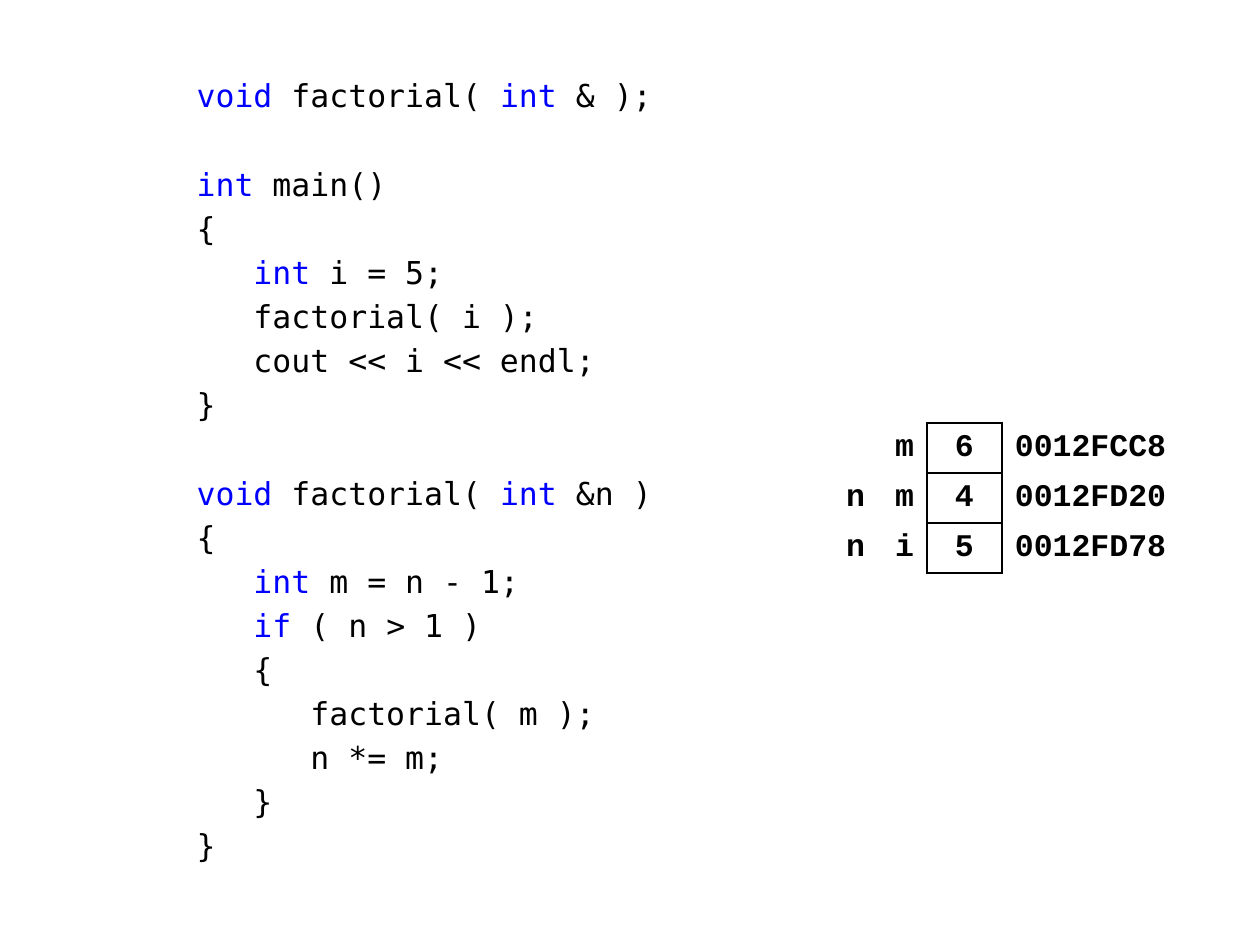
from lxml import etree
from pptx import Presentation
from pptx.dml.color import RGBColor
from pptx.enum.text import MSO_ANCHOR, MSO_AUTO_SIZE, PP_ALIGN
from pptx.oxml.ns import qn
from pptx.util import Pt

TOP, MID = MSO_ANCHOR.TOP, MSO_ANCHOR.MIDDLE
LEFT, MIDDLE, RIGHT = PP_ALIGN.LEFT, PP_ALIGN.CENTER, PP_ALIGN.RIGHT
NONE = MSO_AUTO_SIZE.NONE
BLACK = RGBColor(0x00, 0x00, 0x00)
BLUE = RGBColor(0x00, 0x00, 0xFF)
PLAIN = "{2D5ABB26-0587-4C30-8999-92F81FD0307C}"
SCALE = 914400 / 126
STEP, GAP = Pt(3.6), Pt(29)

CODE = """`void` factorial( `int` & );

`int` main()
{
   `int` i = 5;
   factorial( i );
   cout << i << endl;
}

`void` factorial( `int` &n )
{
   `int` m = n - 1;
   `if` ( n > 1 )
   {
      factorial( m );
      n *= m;
   }
}"""
ROWS = [
    ("", "m", "6", "0012FCC8"),
    ("n", "m", "4", "0012FD20"),
    ("n", "i", "5", "0012FD78"),
]
COLS = [(49, RIGHT, ""), (49, RIGHT, "R"), (75, MIDDLE, "LRTB"), (176, LEFT, "L")]


def px(num):
    """Turn pixels into EMU."""
    return round(num * SCALE)


def style(item, form):
    """Set each attribute named in a dict of format values."""
    for name, value in form.items():
        setattr(item, name, value)


def add_code(shape, left, top, width, height):
    """Fill a placeholder with code, with the marked keywords in blue."""
    style(shape, {"left": px(left), "top": px(top),
                  "width": px(width), "height": px(height)})
    frame = shape.text_frame
    style(frame, {"auto_size": NONE, "vertical_anchor": TOP, "word_wrap": True,
                  "margin_top": 0, "margin_bottom": 0})
    space, para = 0, frame.paragraphs[0]
    for line in CODE.split("\n"):
        if not line:
            space = GAP
            continue
        if para is None:
            para = frame.add_paragraph()
        style(para, {"alignment": LEFT, "space_before": space})
        for spot, part in enumerate(line.split("`")):
            if part:
                run = para.add_run()
                run.text = part
                style(run.font, {"name": "DejaVu Sans Mono", "size": Pt(18)})
                run.font.color.rgb = BLUE if spot % 2 else BLACK
        space, para = STEP, None


def add_edge(cell, side):
    """Draw a black border on one side of a cell."""
    edge = etree.SubElement(cell._tc.get_or_add_tcPr(), qn(f"a:ln{side}"), w=str(Pt(1.5)))
    fill = etree.SubElement(edge, qn("a:solidFill"))
    etree.SubElement(fill, qn("a:srgbClr"), val=str(BLACK))


def add_stack(slide, left, top, high):
    """Place the memory table with its names, values and addresses."""
    wide = sum(col[0] for col in COLS)
    table = slide.shapes.add_table(len(ROWS), len(COLS), px(left), px(top),
                                   px(wide), px(high * len(ROWS))).table
    style(table, {"first_row": False, "horz_banding": False})
    table._tbl.tblPr.find(qn("a:tableStyleId")).text = PLAIN
    for col, (width, _, _) in zip(table.columns, COLS):
        col.width = px(width)
    for y, row in enumerate(ROWS):
        table.rows[y].height = px(high)
        for x, (text, (_, align, sides)) in enumerate(zip(row, COLS)):
            cell = table.cell(y, x)
            style(cell, {"text": text, "vertical_anchor": MID,
                         "margin_left": px(13), "margin_right": px(8 if x == 3 else 13),
                         "margin_top": px(5), "margin_bottom": px(5)})
            for side in sides:
                add_edge(cell, side)
            cell.fill.background()
            para = cell.text_frame.paragraphs[0]
            para.alignment = align
            style(para.font, {"name": "Courier New", "size": Pt(18), "bold": True})
            para.font.color.rgb = BLACK


def main():
    """Build and save the slide."""
    deck = Presentation()
    style(deck, {"slide_width": px(1260), "slide_height": px(945)})
    slide = deck.slides.add_slide(deck.slide_layouts[0])
    title = slide.shapes.title._element
    title.getparent().remove(title)
    add_code(slide.placeholders[1], 184, 76, 546, 819)
    add_stack(slide, 829, 423, 50)
    deck.save("out.pptx")


if __name__ == "__main__":
    main()
